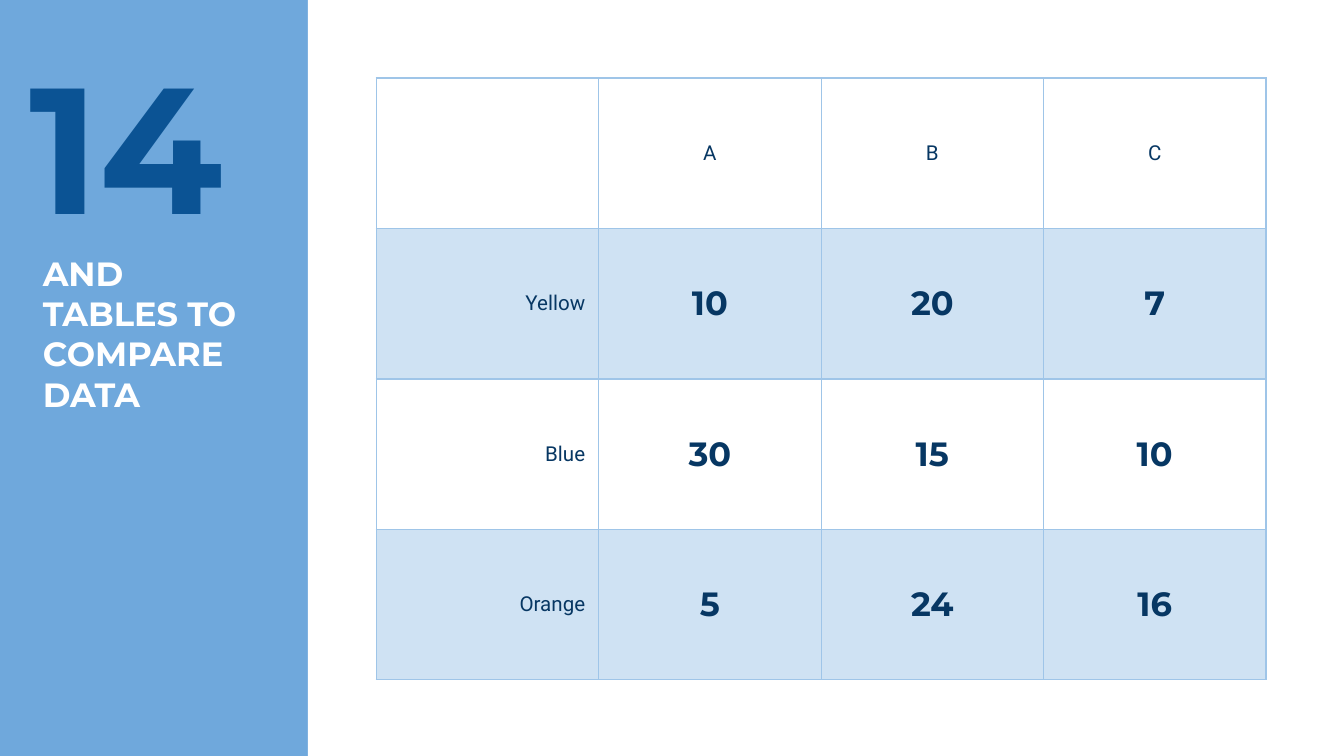
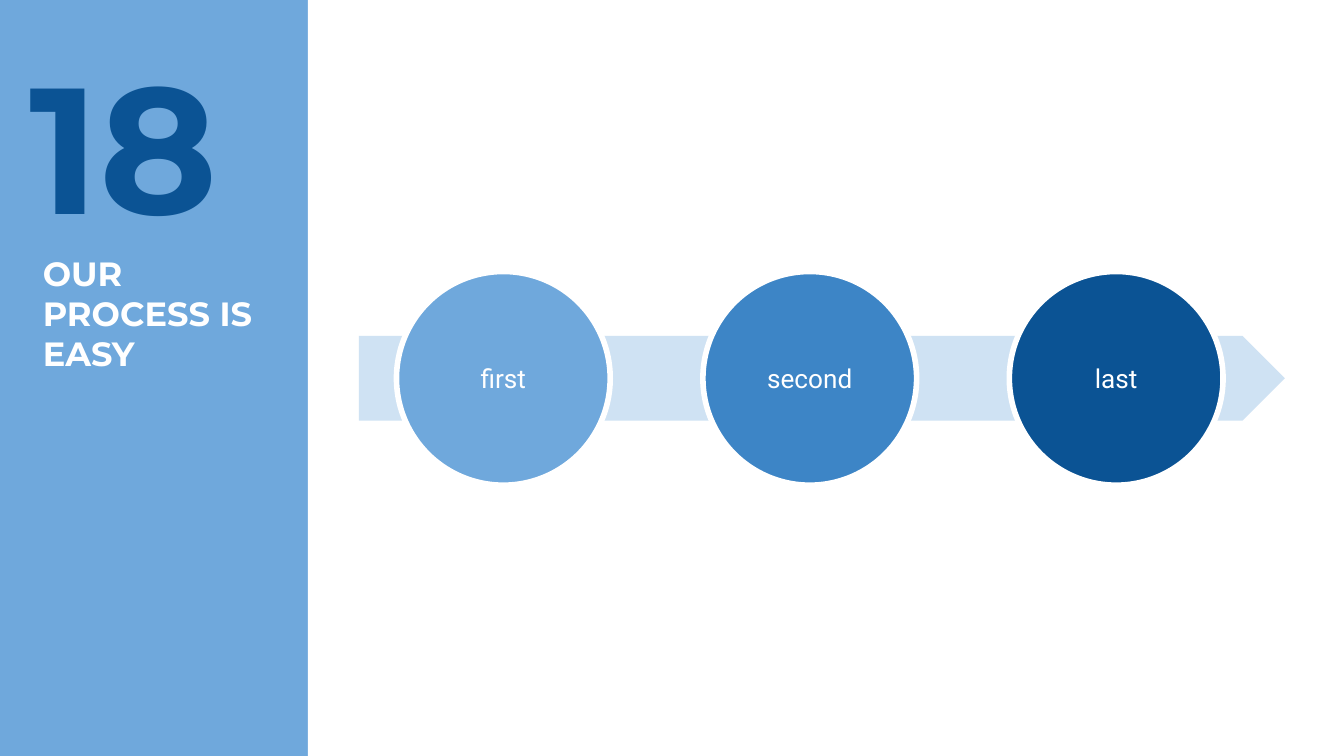
from dataclasses import dataclass

from lxml import etree
from pptx import Presentation
from pptx.dml.color import RGBColor
from pptx.enum.shapes import MSO_SHAPE
from pptx.enum.text import MSO_ANCHOR, PP_ALIGN
from pptx.oxml.ns import qn
from pptx.util import Inches, Pt

RECTANGLE = MSO_SHAPE.RECTANGLE
ELLIPSE = MSO_SHAPE.OVAL
ARROW = MSO_SHAPE.PENTAGON
MIDDLE = MSO_ANCHOR.MIDDLE
TOP = MSO_ANCHOR.TOP
LEFT, CENTER, RIGHT = PP_ALIGN.LEFT, PP_ALIGN.CENTER, PP_ALIGN.RIGHT


@dataclass(frozen=True)
class TextStyle:
    font: str
    size: int
    color: str
    bold: bool = False


@dataclass(frozen=True)
class Theme:
    white: str = "FFFFFF"
    sky: str = "6FA8DC"
    blue: str = "3D85C6"
    deep: str = "0B5394"
    pale: str = "CFE2F3"
    border: str = "9FC5E8"
    border_width: float = 0.75
    ring_width: float = 3
    number: TextStyle = TextStyle("Montserrat", 96, "0B5394", True)
    title: TextStyle = TextStyle("Montserrat", 18, "FFFFFF", True)
    label: TextStyle = TextStyle("Roboto", 11, "073763")
    value: TextStyle = TextStyle("Montserrat", 18, "073763", True)
    step: TextStyle = TextStyle("Roboto", 14, "FFFFFF")


@dataclass(frozen=True)
class Box:
    left: float
    top: float
    width: float
    height: float

    def lengths(self):
        return [Inches(value) for value in (self.left, self.top, self.width, self.height)]


@dataclass(frozen=True)
class Step:
    name: str
    color: str


THEME = Theme()
SLIDE_WIDTH = 10
SLIDE_HEIGHT = SLIDE_WIDTH * 9 / 16
PANEL = Box(2.29, 0, 7.71, SLIDE_HEIGHT)
NUMBER_BOX = Box(0.12, 0.16, 1.98, 1.37)
TITLE_BOX = Box(0.22, 1.78, 1.87, 0.94)
TABLE_BOX = Box(2.8, 0.58, 6.62, 4.48)
PROCESS_ARROW = Box(2.67, 2.5, 6.89, 0.63)
STEP_LEFT, STEP_TOP, STEP_SIZE, STEP_PITCH = 2.95, 2.02, 1.59, 2.28

COMPARISON = [
    ["", "A", "B", "C"],
    ["Yellow", "10", "20", "7"],
    ["Blue", "30", "15", "10"],
    ["Orange", "5", "24", "16"],
]
STEPS = [Step("first", THEME.sky), Step("second", THEME.blue), Step("last", THEME.deep)]


def rgb(color: str) -> RGBColor:
    return RGBColor.from_string(color)


def write(text_frame, text: str, style: TextStyle, align=LEFT) -> None:
    paragraph = text_frame.paragraphs[0]
    paragraph.text = text
    paragraph.alignment = align
    paragraph.font.name = style.font
    paragraph.font.size = Pt(style.size)
    paragraph.font.bold = style.bold
    paragraph.font.color.rgb = rgb(style.color)


def prepare_frame(text_frame, anchor) -> None:
    text_frame.word_wrap = True
    text_frame.vertical_anchor = anchor
    text_frame.margin_left = text_frame.margin_right = Inches(0.1)
    text_frame.margin_top = text_frame.margin_bottom = Inches(0.1)


def add_text(slide, box: Box, text: str, style: TextStyle) -> None:
    text_frame = slide.shapes.add_textbox(*box.lengths()).text_frame
    prepare_frame(text_frame, TOP)
    write(text_frame, text, style)


def add_filled_shape(slide, kind, box: Box, color: str):
    shape = slide.shapes.add_shape(kind, *box.lengths())
    shape.shadow.inherit = False
    shape.fill.solid()
    shape.fill.fore_color.rgb = rgb(color)
    shape.line.fill.background()
    return shape


def add_numbered_slide(presentation, number: str, title: str):
    slide = presentation.slides.add_slide(presentation.slide_layouts[6])
    slide.background.fill.solid()
    slide.background.fill.fore_color.rgb = rgb(THEME.sky)
    add_filled_shape(slide, RECTANGLE, PANEL, THEME.white)
    add_text(slide, TITLE_BOX, title, THEME.title)
    add_text(slide, NUMBER_BOX, number, THEME.number)
    return slide


def set_borders(cell) -> None:
    properties = cell._tc.get_or_add_tcPr()
    for side in ("a:lnL", "a:lnR", "a:lnT", "a:lnB"):
        line = etree.SubElement(properties, qn(side), w=str(Pt(THEME.border_width)))
        fill = etree.SubElement(line, qn("a:solidFill"))
        etree.SubElement(fill, qn("a:srgbClr"), val=THEME.border)


def fill_cell(cell, text: str, row: int, column: int) -> None:
    set_borders(cell)
    cell.vertical_anchor = MIDDLE
    cell.margin_left = cell.margin_right = Inches(0.1)
    cell.margin_top = cell.margin_bottom = Inches(0.07)
    if row % 2:
        cell.fill.solid()
        cell.fill.fore_color.rgb = rgb(THEME.pale)
    else:
        cell.fill.background()
    if text:
        style = THEME.value if row and column else THEME.label
        write(cell.text_frame, text, style, CENTER if column else RIGHT)


def add_comparison_table(slide, rows: list[list[str]]) -> None:
    table = slide.shapes.add_table(len(rows), len(rows[0]), *TABLE_BOX.lengths()).table
    table.first_row = False
    table.horz_banding = False
    for row, texts in enumerate(rows):
        for column, text in enumerate(texts):
            fill_cell(table.cell(row, column), text, row, column)


def add_process(slide, steps: list[Step]) -> None:
    add_filled_shape(slide, ARROW, PROCESS_ARROW, THEME.pale)
    for index, step in enumerate(steps):
        box = Box(STEP_LEFT + index * STEP_PITCH, STEP_TOP, STEP_SIZE, STEP_SIZE)
        circle = add_filled_shape(slide, ELLIPSE, box, step.color)
        circle.line.color.rgb = rgb(THEME.white)
        circle.line.width = Pt(THEME.ring_width)
        prepare_frame(circle.text_frame, MIDDLE)
        write(circle.text_frame, step.name, THEME.step, CENTER)


def main() -> None:
    presentation = Presentation()
    presentation.slide_width = Inches(SLIDE_WIDTH)
    presentation.slide_height = Inches(SLIDE_HEIGHT)
    table_slide = add_numbered_slide(presentation, "14", "AND TABLES TO COMPARE DATA")
    add_comparison_table(table_slide, COMPARISON)
    process_slide = add_numbered_slide(presentation, "18", "OUR PROCESS IS EASY")
    add_process(process_slide, STEPS)
    presentation.save("out.pptx")


if __name__ == "__main__":
    main()
